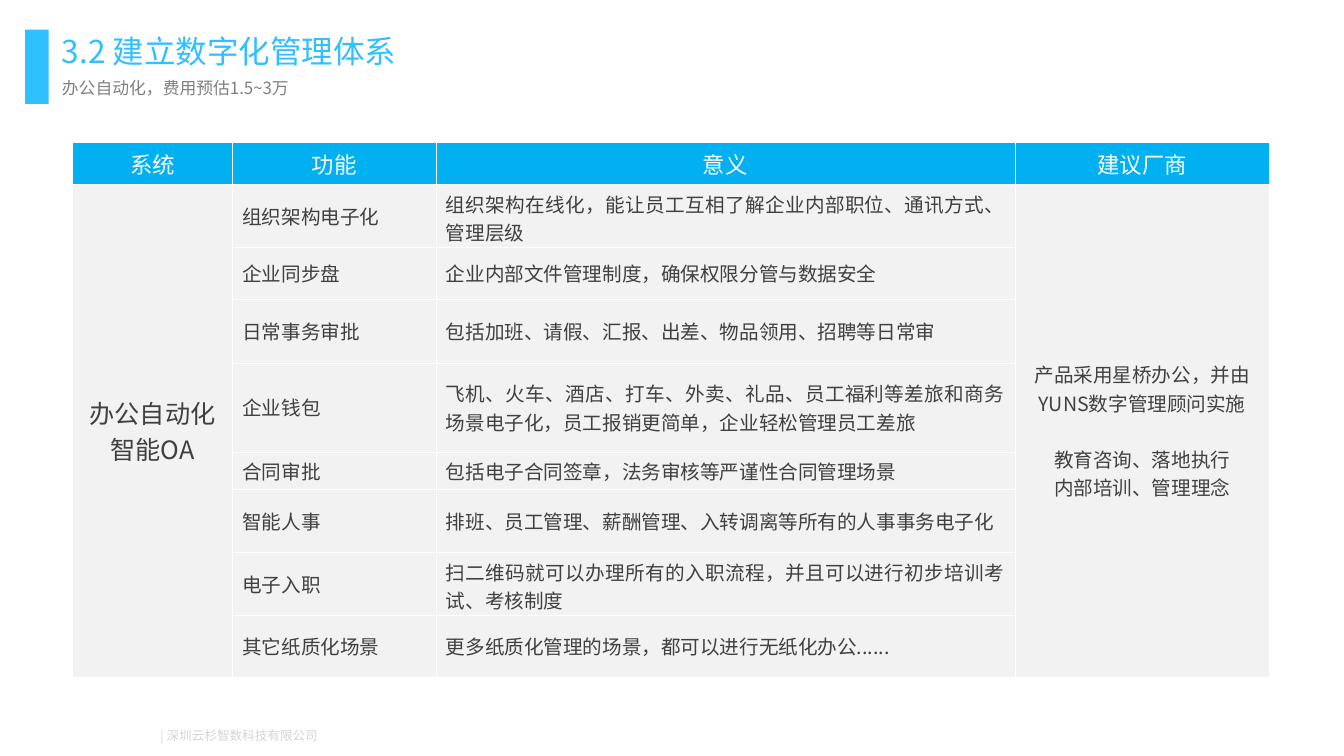
import pptx
import pptx.util
import pptx.dml.color
import pptx.enum.shapes
import pptx.enum.text
from dataclasses import dataclass
from lxml import etree
from pptx.oxml.ns import qn

ALIGN = pptx.enum.text.PP_ALIGN
MIDDLE = pptx.enum.text.MSO_ANCHOR.MIDDLE


@dataclass(frozen=True)
class Theme:
    font: str = "Noto Sans CJK SC"
    accent: str = "2FC0FF"
    header: str = "00B0F0"
    cell: str = "F2F2F2"
    white: str = "FFFFFF"
    ink: str = "404040"
    subtitle: str = "808080"
    footer: str = "D6D5D5"
    title_size: int = 45
    system_size: int = 36
    header_size: int = 32
    body_size: int = 28
    subtitle_size: int = 24
    footer_size: int = 18


def rgb(value):
    return pptx.dml.color.RGBColor.from_string(value)


class Deck:
    def __init__(self, width, height):
        self.theme = Theme()
        self.prs = pptx.Presentation()
        self.prs.slide_width = pptx.util.Inches(width)
        self.prs.slide_height = pptx.util.Inches(height)
        self.s = self.prs.slides.add_slide(self.prs.slide_layouts[1])

    def box(self, x, y, w, h):
        W, H = self.prs.slide_width, self.prs.slide_height
        return [round(n * size / 100) for n, size in zip((x, y, w, h), (W, H, W, H))]

    def set_text(self, tf, lines, size, color, align=ALIGN.LEFT):
        tf.word_wrap = True
        tf.text = "\n".join(lines)
        for p in tf.paragraphs:
            p.alignment = align
            p.space_before = pptx.util.Pt(0)
            p.font.size = pptx.util.Pt(size)
            p.font.name = self.theme.font
            p.font.color.rgb = rgb(color)
            rPr = p.font._rPr
            rPr.find(qn("a:latin")).addnext(
                rPr.makeelement(qn("a:ea"), {"typeface": self.theme.font}))

    def frame(self, sp, text, size, color, align=ALIGN.LEFT):
        tf = sp.text_frame
        tf.margin_left = tf.margin_right = pptx.util.Inches(0.08)
        tf.margin_top = tf.margin_bottom = pptx.util.Inches(0.08)
        tf.vertical_anchor = MIDDLE
        self.set_text(tf, [text], size, color, align)
        return tf

    def placeholder(self, idx, area, text, size, color):
        sp = self.s.placeholders[idx]
        sp.left, sp.top, sp.width, sp.height = self.box(*area)
        tf = self.frame(sp, text, size, color)
        tf.auto_size = pptx.enum.text.MSO_AUTO_SIZE.NONE
        pPr = tf.paragraphs[0]._p.get_or_add_pPr()
        pPr.set("marL", "0")
        pPr.set("indent", "0")
        pPr.find(qn("a:defRPr")).addprevious(pPr.makeelement(qn("a:buNone"), {}))

    def bar(self, area):
        sp = self.s.shapes.add_shape(
            pptx.enum.shapes.MSO_SHAPE.RECTANGLE, *self.box(*area))
        sp.shadow.inherit = False
        sp.fill.solid()
        sp.fill.fore_color.rgb = rgb(self.theme.accent)
        sp.line.fill.background()

    def footer(self, area, text):
        sp = self.s.shapes.add_textbox(*self.box(*area))
        tf = self.frame(sp, text, self.theme.footer_size, self.theme.footer, ALIGN.CENTER)
        tf.paragraphs[0].line_spacing = 0.82

    def cell(self, cell, fill, bottom=1):
        cell.vertical_anchor = MIDDLE
        cell.margin_left = cell.margin_right = pptx.util.Inches(0.2)
        cell.margin_top = cell.margin_bottom = pptx.util.Inches(0.1)
        tcPr = cell._tc.get_or_add_tcPr()
        for side, width in (("L", 1), ("R", 1), ("T", 1), ("B", bottom)):
            ln = etree.SubElement(tcPr, qn(f"a:ln{side}"), w=str(pptx.util.Pt(width)))
            solid = etree.SubElement(ln, qn("a:solidFill"))
            etree.SubElement(solid, qn("a:srgbClr"), val=self.theme.white)
        cell.fill.solid()
        cell.fill.fore_color.rgb = rgb(fill)

    def table(self, area, col_shares, row_shares, header, system, features, vendor):
        t = self.theme
        x, y, w, h = self.box(*area)
        table = self.s.shapes.add_table(
            len(row_shares), len(col_shares), x, y, w, h).table
        table.horz_banding = False
        for col, share in zip(table.columns, col_shares):
            col.width = round(w * share / sum(col_shares))
        for row, share in zip(table.rows, row_shares):
            row.height = round(h * share / sum(row_shares))
        for r, row in enumerate(table.rows):
            for cell in row.cells:
                self.cell(cell, t.cell if r else t.header, 1 if r else 3)

        for c, text in enumerate(header):
            self.set_text(table.cell(0, c).text_frame, [text],
                          t.header_size, t.white, ALIGN.CENTER)
        for r, texts in enumerate(features, 1):
            for c, text in enumerate(texts, 1):
                self.set_text(table.cell(r, c).text_frame, [text],
                              t.body_size, t.ink, ALIGN.JUSTIFY)
        last_row, last_col = len(row_shares) - 1, len(col_shares) - 1
        for c, lines, size in ((0, system, t.system_size), (last_col, vendor, t.body_size)):
            cell = table.cell(1, c)
            cell.merge(table.cell(last_row, c))
            self.set_text(cell.text_frame, lines, size, t.ink, ALIGN.CENTER)
        first = table.cell(1, 0)
        first.margin_left = first.margin_right = pptx.util.Inches(0.1)
        first.margin_top = first.margin_bottom = pptx.util.Inches(0.03)
        table.cell(1, last_col).text_frame.paragraphs[1].space_before = pptx.util.Pt(40)


HEADER = ["系统", "功能", "意义", "建议厂商"]
SYSTEM = ["办公自动化", "智能OA"]
FEATURES = [
    ("组织架构电子化", "组织架构在线化，能让员工互相了解企业内部职位、通讯方式、管理层级"),
    ("企业同步盘", "企业内部文件管理制度，确保权限分管与数据安全"),
    ("日常事务审批", "包括加班、请假、汇报、出差、物品领用、招聘等日常审"),
    ("企业钱包", "飞机、火车、酒店、打车、外卖、礼品、员工福利等差旅和商务场景电子化，"
     "员工报销更简单，企业轻松管理员工差旅"),
    ("合同审批", "包括电子合同签章，法务审核等严谨性合同管理场景"),
    ("智能人事", "排班、员工管理、薪酬管理、入转调离等所有的人事事务电子化"),
    ("电子入职", "扫二维码就可以办理所有的入职流程，并且可以进行初步培训考试、考核制度"),
    ("其它纸质化场景", "更多纸质化管理的场景，都可以进行无纸化办公......"),
]
VENDOR = ["产品采用星桥办公，并由YUNS数字管理顾问实施", "教育咨询、落地执行", "内部培训、管理理念"]


def main():
    deck = Deck(26.67, 15)
    t = deck.theme
    deck.bar((1.87, 3.93, 1.76, 9.8))
    deck.footer((11.62, 96.13, 12.34, 2.73), "| 深圳云杉智数科技有限公司")
    deck.placeholder(0, (4.31, 3.93, 90.85, 5.53), "3.2 建立数字化管理体系",
                     t.title_size, t.accent)
    deck.placeholder(1, (4.31, 9.8, 23.66, 3.73), "办公自动化，费用预估1.5~3万",
                     t.subtitle_size, t.subtitle)
    deck.table((5.4, 18.87, 89.05, 70.67), (3.17, 4.04, 11.49, 5.05),
               (0.83, 1.25, 1.02, 1.27, 1.77, 0.74, 1.25, 1.25, 1.22),
               HEADER, SYSTEM, FEATURES, VENDOR)
    deck.prs.save("out.pptx")


if __name__ == "__main__":
    main()
